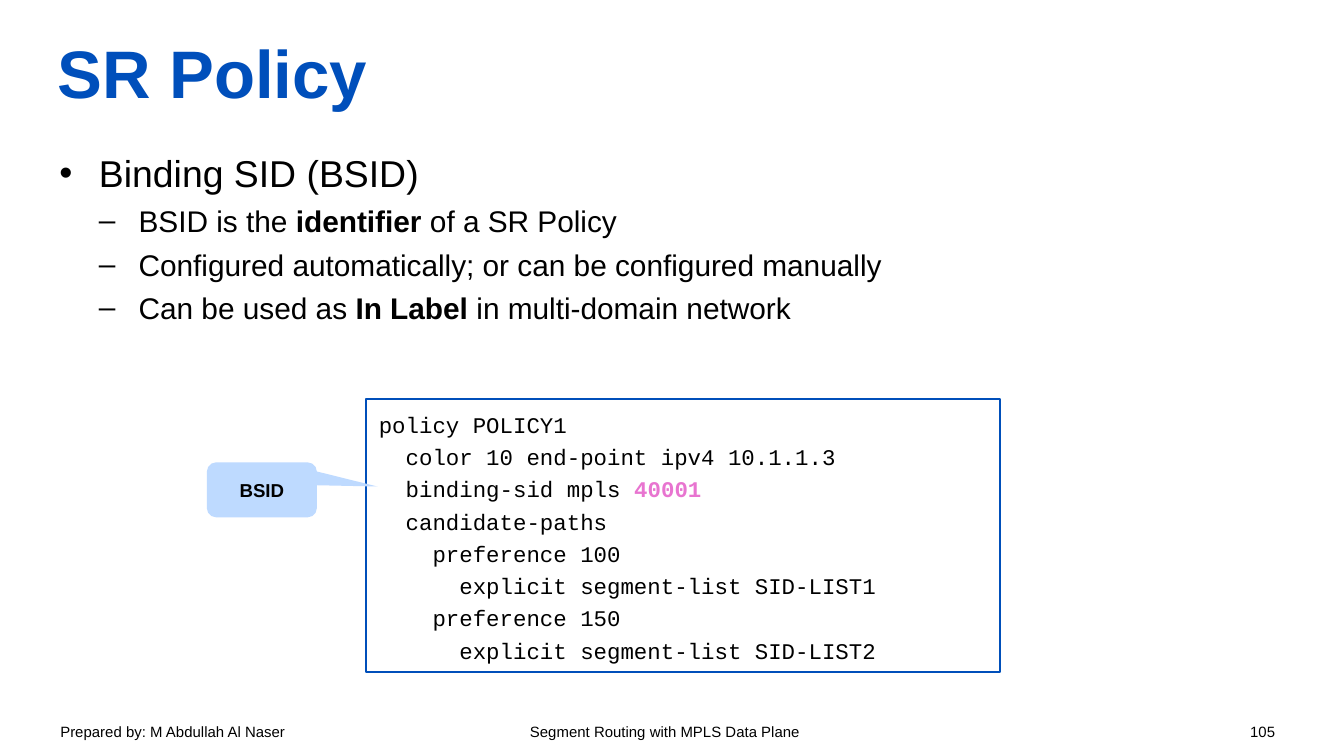
from dataclasses import dataclass
from typing import Any

from lxml import etree
from pptx import Presentation
from pptx.dml.color import RGBColor
from pptx.enum.shapes import MSO_SHAPE
from pptx.enum.text import MSO_ANCHOR, MSO_AUTO_SIZE, PP_ALIGN
from pptx.oxml.ns import qn
from pptx.util import Cm, Pt

RECTANGLE = MSO_SHAPE.RECTANGLE
CALLOUT = MSO_SHAPE.ROUNDED_RECTANGULAR_CALLOUT
TOP, MIDDLE = MSO_ANCHOR.TOP, MSO_ANCHOR.MIDDLE
LEFT, CENTER = PP_ALIGN.LEFT, PP_ALIGN.CENTER
NO_FIT = MSO_AUTO_SIZE.NONE

COLORS = {
    "title": "004FBB",
    "border": "004FBA",
    "text": "000000",
    "label": "E874D0",
    "callout": "BEDAFF",
}


@dataclass(frozen=True)
class Area:
    left: float
    top: float
    width: float
    height: float


@dataclass(frozen=True)
class Span:
    text: str
    bold: bool = False
    color: str = "text"


@dataclass(frozen=True)
class Line:
    spans: tuple[Span, ...]
    size: float
    font: str = "Arial"
    align: Any = LEFT
    spacing: float | None = None
    before: float = 0
    level: int = 0
    bullet: str | None = None


INSET = Cm(0.25)
BULLET_INDENT = Cm(0.75)
FOOTER_TABS = (("ctr", Cm(11.43)), ("r", Cm(22.96)))

TITLE = Line((Span("SR Policy", True, "title"),), 36)
FOOTER = Line((Span("Prepared by: M Abdullah Al Naser\t"
                    "Segment Routing with MPLS Data Plane\t105"),), 8)
CALLOUT_LABEL = Line((Span("BSID", True),), 10, align=CENTER)

SUBPOINTS = (
    (Span("BSID is the "), Span("identifier", True), Span(" of a SR Policy")),
    (Span("Configured automatically; or can be configured manually"),),
    (Span("Can be used as "), Span("In Label ", True), Span("in multi-domain network")),
)
BODY = [Line((Span("Binding SID (BSID)"),), 20, spacing=24, bullet="•")] + [
    Line(spans, 16, spacing=19.3, before=4, level=1, bullet="–") for spans in SUBPOINTS
]

CODE_SPANS = (
    (Span("policy POLICY1"),),
    (Span("  color 10 end-point ipv4 10.1.1.3"),),
    (Span("  binding-sid mpls "), Span("40001", True, "label")),
    (Span("  candidate-paths"),),
    (Span("    preference 100"),),
    (Span("      explicit segment-list SID-LIST1"),),
    (Span("    preference 150"),),
    (Span("      explicit segment-list SID-LIST2"),),
)
CODE = [Line(spans, 12, "Courier New", spacing=17.3) for spans in CODE_SPANS]


def rgb(name: str) -> RGBColor:
    return RGBColor.from_string(COLORS[name])


def set_values(target: Any, values: dict[str, Any]) -> None:
    for name, value in values.items():
        setattr(target, name, value)


def place(shape: Any, area: Area) -> None:
    set_values(shape, {
        "left": Cm(area.left), "top": Cm(area.top),
        "width": Cm(area.width), "height": Cm(area.height),
    })


def add_bullet(para: Any, line: Line) -> None:
    properties = para._p.get_or_add_pPr()
    properties.set("marL", str(BULLET_INDENT * (line.level + 1)))
    properties.set("indent", str(-BULLET_INDENT))
    etree.SubElement(properties, qn("a:buFont"), typeface="Arial")
    etree.SubElement(properties, qn("a:buChar"), char=line.bullet)


def add_tabs(para: Any) -> None:
    tabs = etree.SubElement(para._p.get_or_add_pPr(), qn("a:tabLst"))
    for align, position in FOOTER_TABS:
        etree.SubElement(tabs, qn("a:tab"), pos=str(position), algn=align)


def write(shape: Any, lines: list[Line], anchor: Any = TOP, inset: int = INSET) -> None:
    frame = shape.text_frame
    set_values(frame, {
        "word_wrap": True, "auto_size": NO_FIT, "vertical_anchor": anchor,
        "margin_left": inset, "margin_right": inset,
        "margin_top": inset // 2, "margin_bottom": inset // 2,
    })
    for index, line in enumerate(lines):
        para = frame.paragraphs[0] if index == 0 else frame.add_paragraph()
        if line.bullet:
            add_bullet(para, line)
        set_values(para, {
            "level": line.level, "alignment": line.align,
            "space_before": Pt(line.before), "space_after": Pt(0),
            "line_spacing": Pt(line.spacing) if line.spacing else 1.0,
        })
        for part in line.spans:
            span = para.add_run()
            span.text = part.text
            set_values(span.font, {"name": line.font, "size": Pt(line.size), "bold": part.bold})
            span.font.color.rgb = rgb(part.color)


def add_panel(page: Any, kind: Any, area: Area, fill: str | None, border: str | None) -> Any:
    box = page.shapes.add_shape(kind, Cm(0), Cm(0), Cm(1), Cm(1))
    place(box, area)
    box.shadow.inherit = False
    if fill:
        box.fill.solid()
        box.fill.fore_color.rgb = rgb(fill)
    else:
        box.fill.background()
    if border:
        box.line.color.rgb = rgb(border)
        box.line.width = Pt(1)
    else:
        box.line.fill.background()
    return box


def main() -> None:
    deck = Presentation()
    set_values(deck, {"slide_width": Cm(25.4), "slide_height": Cm(14.29)})
    page = deck.slides.add_slide(deck.slide_layouts[1])

    title, body = page.placeholders
    place(title, Area(1.09, 0.15, 23.19, 2.39))
    write(title, [TITLE], MIDDLE, 0)
    place(body, Area(1.12, 2.84, 23.19, 10.49))
    write(body, BODY, inset=0)

    footer = page.shapes.add_textbox(Cm(0.89), Cm(13.54), Cm(23.67), Cm(0.64))
    add_tabs(footer.text_frame.paragraphs[0])
    write(footer, [FOOTER])

    code = add_panel(page, RECTANGLE, Area(6.91, 7.54, 11.99, 5.16), None, "border")
    write(code, CODE)

    callout = add_panel(page, CALLOUT, Area(3.91, 8.74, 2.08, 1.04), "callout", None)
    for index, value in enumerate((1.05, -0.06, 0.17)):
        callout.adjustments[index] = value
    write(callout, [CALLOUT_LABEL], MIDDLE)

    deck.save("out.pptx")


if __name__ == "__main__":
    main()
